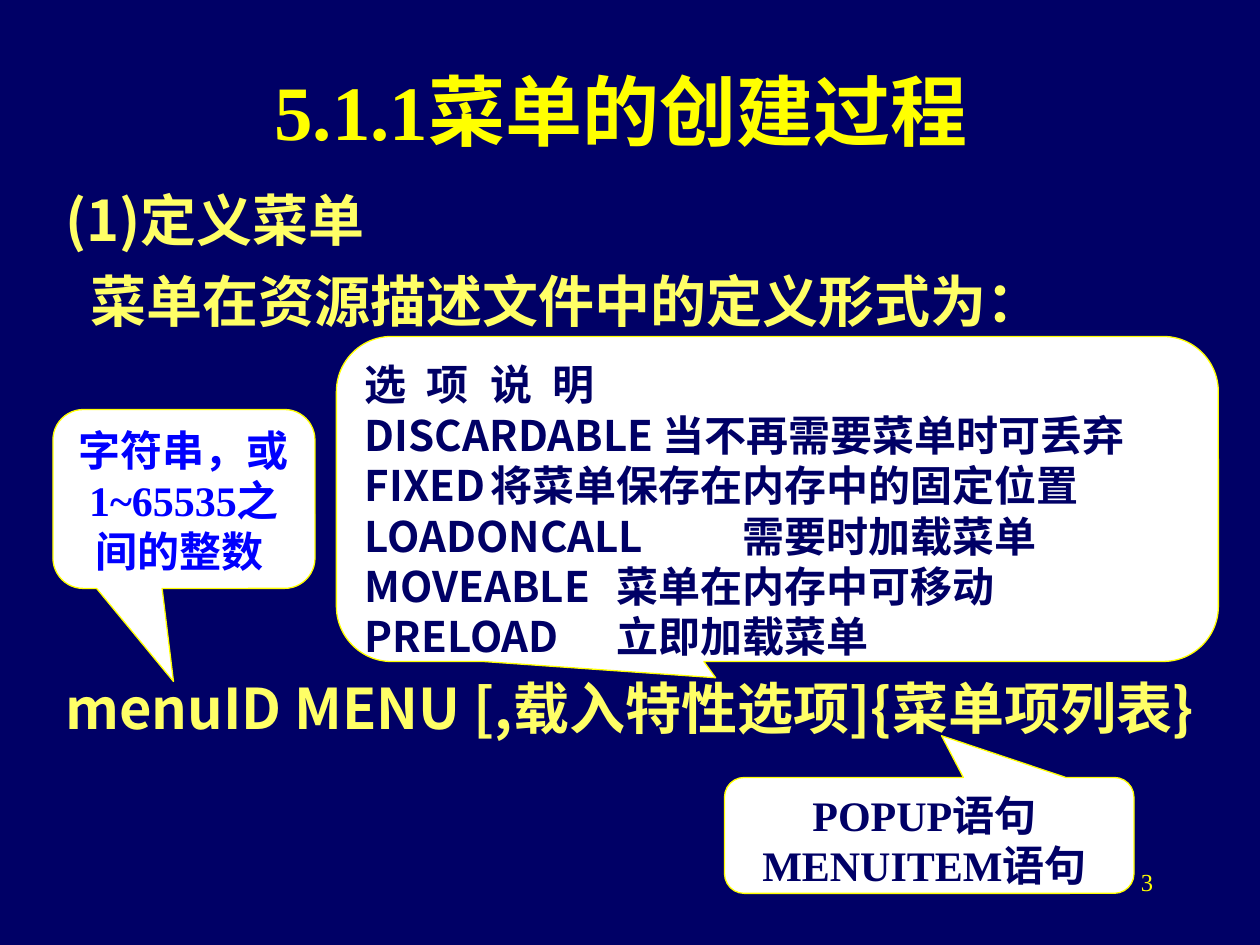
from lxml import etree
from pptx import Presentation
from pptx import util as u
from pptx.dml.color import RGBColor
from pptx.enum import shapes, text
from pptx.oxml.ns import qn

C = {"navy": "000066", "yellow": "FFFF00", "pale": "FFFF66",
     "blue": "0000FF", "white": "FFFFFF"}
SANS, SERIF = "Noto Sans CJK SC", "Times New Roman"
LEFT, CENTER, RIGHT, JUSTIFY = (text.PP_ALIGN.LEFT, text.PP_ALIGN.CENTER,
                                text.PP_ALIGN.RIGHT, text.PP_ALIGN.JUSTIFY)


def add_par(tf, runs, size, color, bold=True, **fmt):
    """Fill the empty first paragraph, or append one; runs are (text, font)."""
    p = tf.paragraphs[0]
    if p.runs:
        p = tf.add_paragraph()
    for name, value in {"line_spacing": u.Pt(size * 1.2), **fmt}.items():
        setattr(p, name, value)
    for words, font in runs:
        r = p.add_run()
        r.text = words
        for name, value in {"size": u.Pt(size), "bold": bold, "name": font}.items():
            setattr(r.font, name, value)
        r.font.color.rgb = RGBColor.from_string(C[color])
        etree.SubElement(r._r.get_or_add_rPr(), qn("a:ea"), typeface=SANS)
    return p


def add_box(x, y, w, h, anchor=text.MSO_ANCHOR.TOP):
    tf = s.shapes.add_textbox(*map(u.Inches, (x, y, w, h))).text_frame
    tf.word_wrap = True
    tf.vertical_anchor = anchor
    return tf


prs = Presentation()
prs.slide_width, prs.slide_height = u.Inches(10), u.Inches(7.5)
s = prs.slides.add_slide(prs.slide_layouts[6])
s.background.fill.solid()
s.background.fill.fore_color.rgb = RGBColor.from_string(C["navy"])

# Slide number and title
add_par(add_box(7.17, 6.83, 2.08, 0.5), [("3", SERIF)], 14, "yellow",
        bold=False, alignment=RIGHT)
add_par(add_box(0.75, 0.33, 8.5, 1.08, text.MSO_ANCHOR.MIDDLE),
        [("5.1.1", SERIF), ("菜单的创建过程 ", SANS)], 44, "yellow", alignment=CENTER)

# Body: (text, alignment, first-line indent, space before)
body = [
    ("(1)定义菜单", LEFT, -0.38, 8),
    ("菜单在资源描述文件中的定义形式为：", JUSTIFY, -0.18, 8),
    ("menuID MENU [,载入特性选项]{菜单项列表}", JUSTIFY, -0.38, 194),
]
tf = add_box(0.42, 1.42, 9.25, 5.5)
for words, align, indent, before in body:
    p = add_par(tf, [(words, SANS)], 32, "pale", alignment=align,
                space_before=u.Pt(before))
    pPr = p._p.get_or_add_pPr()
    pPr.set("marL", str(u.Inches(0.38)))
    pPr.set("indent", str(u.Inches(indent)))

# Callouts: (place, tail, text colour, alignment, paragraphs)
options = ["选  项\t说  明", "DISCARDABLE 当不再需要菜单时可丢弃",
           "FIXED\t将菜单保存在内存中的固定位置", "LOADONCALL\t需要时加载菜单",
           "MOVEABLE\t菜单在内存中可移动", "PRELOAD\t立即加载菜单"]
callouts = [
    ((0.42, 3.25, 2.08, 1.42), (-0.04, 1.02), "blue", CENTER,
     [[("字符串，或", SANS), ("1~65535", SERIF), ("之间的整数 ", SANS)]]),
    ((2.67, 2.67, 7, 2.58), (-0.07, 0.55), "navy", LEFT,
     [[(option, SANS)] for option in options]),
    ((5.75, 6.17, 3.25, 0.92), (0.03, -0.86), "navy", CENTER,
     [[(word, SERIF), ("语句 ", SANS)] for word in ("POPUP", "MENUITEM")]),
]
for place, tail, color, align, pars in callouts:
    sp = s.shapes.add_shape(shapes.MSO_SHAPE.ROUNDED_RECTANGULAR_CALLOUT,
                            *map(u.Inches, place))
    for i, value in enumerate((*tail, 0.17)):
        sp.adjustments[i] = value
    sp.shadow.inherit = False
    sp.fill.solid()
    sp.fill.fore_color.rgb = RGBColor.from_string(C["white"])
    sp.line.color.rgb = RGBColor.from_string(C["yellow"])
    sp.line.width = u.Pt(0.75)
    tf = sp.text_frame
    tf.word_wrap = True
    tf.vertical_anchor = text.MSO_ANCHOR.TOP
    for runs in pars:
        p = add_par(tf, runs, 24, color, alignment=align)
        # Tab stops at every inch
        tabs = etree.SubElement(p._p.get_or_add_pPr(), qn("a:tabLst"))
        for inch in range(1, 7):
            etree.SubElement(tabs, qn("a:tab"), pos=str(u.Inches(inch)), algn="l")

prs.save("out.pptx")
